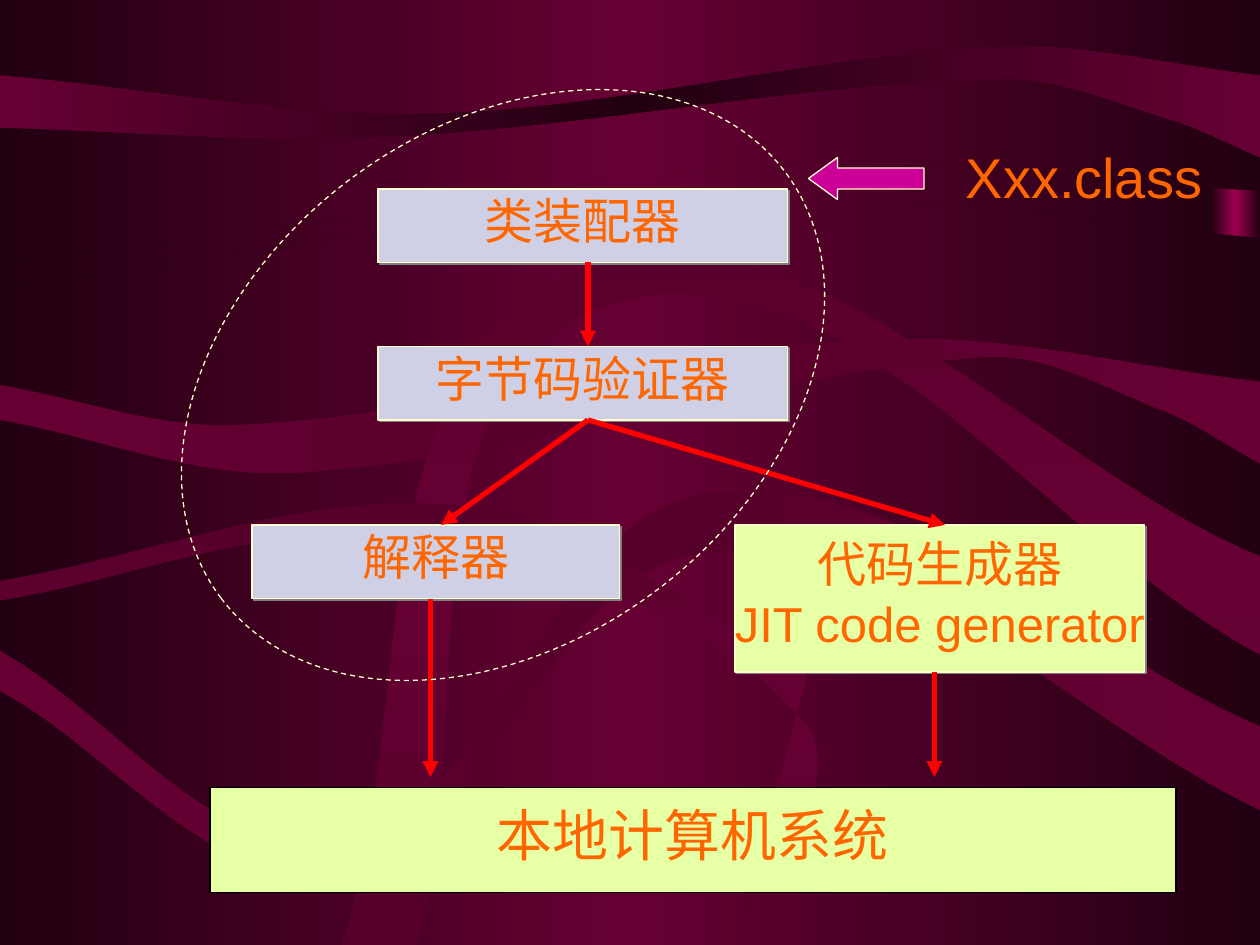
from math import dist

from lxml import etree
from pptx import Presentation
from pptx.dml.color import RGBColor
from pptx.enum import dml, shapes as kinds, text
from pptx.oxml import parse_xml
from pptx.oxml.ns import nsdecls, qn
from pptx.util import Pt

NIGHT = RGBColor(0x22, 0x00, 0x11)
PLUM = RGBColor(0x56, 0x00, 0x2B)
WINE = RGBColor(0x66, 0x00, 0x33)
CERISE = RGBColor(0x9C, 0x00, 0x4E)
LAVENDER = RGBColor(0xCF, 0xD0, 0xE5)
LIME = RGBColor(0xE7, 0xFF, 0xA5)
CREAM = RGBColor(0xFF, 0xFF, 0xCC)
ORANGE = RGBColor(0xFF, 0x66, 0x00)
MAGENTA = RGBColor(0xCC, 0x00, 0x99)
RED = RGBColor(0xFF, 0x00, 0x00)
BLACK = RGBColor(0x00, 0x00, 0x00)
GRAY = RGBColor(0x80, 0x80, 0x80)

WIDTH, HEIGHT = 720, 540

# Outer colour, middle colour, angle, points on the upper and the lower edge
RIBBONS = [
    (NIGHT, WINE, 0, [(0, 0), (WIDTH, 0)],
     [(0, 152), (450, 95), (WIDTH, 109)]),
    (NIGHT, WINE, 0, [(0, 164), (422, 112), (WIDTH, 136)],
     [(0, HEIGHT), (WIDTH, HEIGHT)]),
    (WINE, NIGHT, 0, [(0, 43), (248, 65), (570, 27), (WIDTH, 43)],
     [(0, 73), (222, 78), (572, 45), (668, 68), (WIDTH, 90)]),
    (WINE, PLUM, 0, [(0, 220), (137, 243), (505, 194), (WIDTH, 218)],
     [(0, 240), (170, 270), (562, 204), (663, 234), (WIDTH, 265)]),
    (PLUM, WINE, 90, [(195, HEIGHT), (327, 157), (WIDTH, 318)],
     [(238, HEIGHT), (345, 175), (WIDTH, 374)]),
    (WINE, PLUM, 0, [(0, 372), (197, 480), (405, 282), (WIDTH, 415)],
     [(0, 395), (194, 498), (407, 315), (WIDTH, 463)]),
    (PLUM, WINE, 90, [(0, 332), (264, 289), (462, 383)],
     [(0, 343), (226, 308), (459, 412), (420, HEIGHT)]),
]
GLOW_BAR = (692, 35, 28, 248)

# Wording, place, fill, line, size, raised by a shadow
STAGES = [
    ("类装配器", (216, 108, 234, 42), LAVENDER, CREAM, 28, True),
    ("字节码验证器", (216, 198, 234, 42), LAVENDER, CREAM, 28, True),
    ("解释器", (144, 300, 210, 42), LAVENDER, CREAM, 28, True),
    ("本地计算机系统", (120, 450, 552, 60), LIME, BLACK, 32, False),
    ("代码生成器\nJIT code generator", (420, 300, 234, 84), LIME, CREAM, 28, True),
]
FLOWS = [
    (336, 150, 336, 198),
    (336, 240, 252, 300),
    (336, 240, 540, 300),
    (246, 342, 246, 444),
    (534, 384, 534, 444),
]
RUNTIME_RING = (85.5, 73.5, 404, 293)
RING_ROTATION = 322.9
CLASS_FILE = ("Xxx.class", (541.5, 80, 156, 48), 32)
CLASS_ARROW = (462, 90, 66, 24)


def points(lengths):
    return [Pt(length) for length in lengths]


def shade(fill, owner, outer, middle, angle):
    """Give fill, which lies in the XML of owner, an outer-middle-outer gradient."""
    fill.gradient()
    fill.gradient_angle = angle
    stops = next(owner.iter(qn("a:gsLst")))
    for stop in list(stops):
        stops.remove(stop)
    for position, color in ((0, outer), (50000, middle), (100000, outer)):
        stop = etree.SubElement(stops, qn("a:gs"), pos=str(position))
        etree.SubElement(stop, qn("a:srgbClr"), val=str(color))


def smooth(edge):
    """Bézier segments through the points, each tangent parallel to its neighbours' chord."""
    def handle(i, toward):
        before, after = edge[max(i - 1, 0)], edge[min(i + 1, len(edge) - 1)]
        reach = dist(edge[i], edge[i + toward]) / 3 / dist(before, after)
        return tuple(here + toward * reach * (b - a)
                     for here, a, b in zip(edge[i], before, after))

    return [[handle(i, 1), handle(i + 1, -1), edge[i + 1]]
            for i in range(len(edge) - 1)]


def add_ribbon(slide, outer, middle, angle, upper, lower):
    segments = smooth(upper) + [[lower[-1]]] + smooth(lower[::-1])
    builder = slide.shapes.build_freeform(*points(upper[0]))
    builder.add_line_segments(
        [points(corner) for segment in segments for corner in segment], close=True)
    ribbon = builder.convert_to_shape()
    lines = list(ribbon._element.iter(qn("a:lnTo")))
    for segment in segments:
        used, lines = lines[:len(segment)], lines[len(segment):]
        if len(used) == 3:
            curve = etree.Element(qn("a:cubicBezTo"))
            used[0].addprevious(curve)
            for line in used:
                curve.append(line[0])
                line.getparent().remove(line)
    ribbon.shadow.inherit = False
    ribbon.line.fill.background()
    shade(ribbon.fill, ribbon._element, outer, middle, angle)


def add_figure(slide, kind, place, fill=None, line=None):
    figure = slide.shapes.add_shape(kind, *points(place))
    figure.shadow.inherit = False
    if fill is None:
        figure.fill.background()
    else:
        figure.fill.solid()
        figure.fill.fore_color.rgb = fill
    if line is None:
        figure.line.fill.background()
    else:
        figure.line.color.rgb = line
        figure.line.width = Pt(0.75)
    return figure


def write(shape, wording, size):
    frame = shape.text_frame
    frame.text = wording
    frame.word_wrap = False
    frame.vertical_anchor = text.MSO_ANCHOR.MIDDLE
    for number, paragraph in enumerate(frame.paragraphs):
        paragraph.alignment = text.PP_ALIGN.CENTER
        paragraph.line_spacing = 0.8
        if number:
            paragraph.space_before = Pt(7)
        for run in paragraph.runs:
            run.font.name = "Arial"
            run.font.size = Pt(size)
            run.font.color.rgb = ORANGE


def add_shadow(box):
    effects = box._element.spPr.find(qn("a:effectLst"))
    effects.append(parse_xml(
        f'<a:outerShdw {nsdecls("a")} blurRad="0" dist="{Pt(1.4)}" dir="2700000" '
        f'algn="ctr" rotWithShape="0"><a:srgbClr val="{GRAY}"/></a:outerShdw>'))


def add_flow(slide, ends):
    flow = slide.shapes.add_connector(kinds.MSO_CONNECTOR.STRAIGHT, *points(ends))
    flow.line.color.rgb = RED
    flow.line.width = Pt(3)
    outline = flow._element.spPr.find(qn("a:ln"))
    etree.SubElement(outline, qn("a:tailEnd"), type="triangle")
    etree.SubElement(flow._element.spPr, qn("a:effectLst"))


def main():
    deck = Presentation()
    deck.slide_width, deck.slide_height = Pt(WIDTH), Pt(HEIGHT)
    slide = deck.slides.add_slide(deck.slide_layouts[6])
    shade(slide.background.fill, slide._element, NIGHT, WINE, 0)

    bar = add_figure(slide, kinds.MSO_SHAPE.RECTANGLE, GLOW_BAR)
    shade(bar.fill, bar._element, NIGHT, CERISE, 0)
    for ribbon in RIBBONS:
        add_ribbon(slide, *ribbon)

    for wording, place, fill, line, size, raised in STAGES:
        box = add_figure(slide, kinds.MSO_SHAPE.RECTANGLE, place, fill, line)
        write(box, wording, size)
        if raised:
            add_shadow(box)
    for ends in FLOWS:
        add_flow(slide, ends)

    ring = add_figure(slide, kinds.MSO_SHAPE.OVAL, RUNTIME_RING, line=CREAM)
    ring.rotation = RING_ROTATION
    ring.line.dash_style = dml.MSO_LINE.DASH
    wording, place, size = CLASS_FILE
    write(slide.shapes.add_textbox(*points(place)), wording, size)
    arrow = add_figure(slide, kinds.MSO_SHAPE.LEFT_ARROW, CLASS_ARROW, MAGENTA, CREAM)
    arrow.adjustments[1] = 0.69
    deck.save("out.pptx")


if __name__ == "__main__":
    main()
